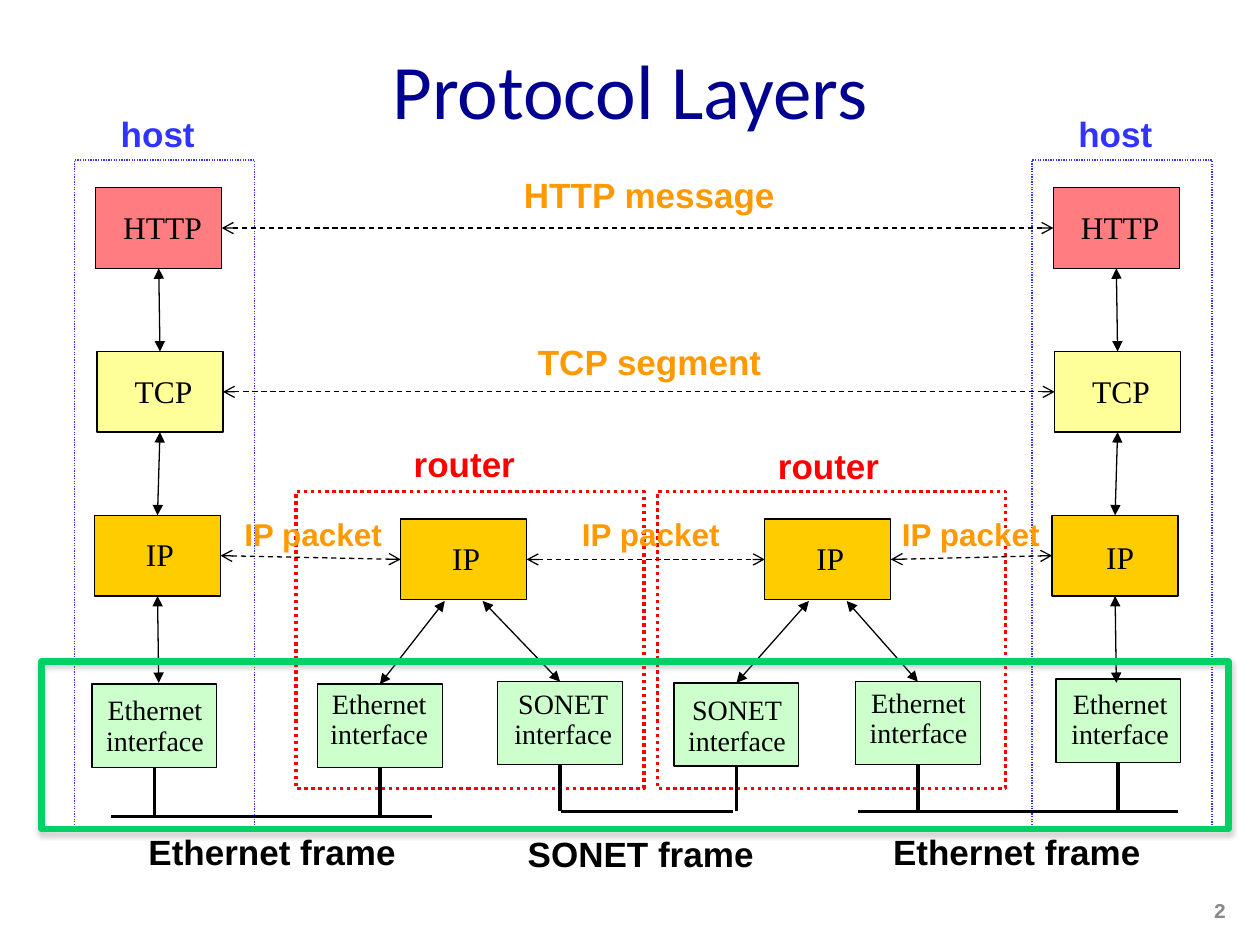
from lxml.etree import SubElement
from pptx import Presentation
from pptx.dml.color import RGBColor
from pptx.enum.dml import MSO_LINE
from pptx.enum.shapes import MSO_CONNECTOR, MSO_SHAPE
from pptx.enum.text import MSO_ANCHOR, PP_ALIGN
from pptx.oxml.ns import qn
from pptx.util import Inches, Pt

# The slide is a grid of 100 columns and 75 rows of square cells
COLUMNS, ROWS = 100, 75
CELL = Inches(10) // COLUMNS
COLORS = {
    "title": "000090", "black": "000000", "number": "898989",
    "HTTP": "FF7C80", "TCP": "FFFF99", "IP": "FFCC00", "interface": "CCFFCC",
    "host": "3333FF", "router": "FF0000", "message": "FF9900",
    "highlight": "00D164", "shadow": "808080",
}
TOP, LEFT, BOTTOM, RIGHT = range(4)
LABEL_ROWS = {16: 5.8, 18: 4, 20: 4.4}  # label height for each text size
HOST_STEP = 76  # columns between the two hosts


def cells(*counts):
    return [int(count * CELL) for count in counts]


def color(name):
    return RGBColor.from_string(COLORS[name])


def add_label(slide, text, column, row, width, size=20, font="Arial",
              ink="black", bold=True, align=PP_ALIGN.LEFT, height=None,
              wrap=False, anchor=MSO_ANCHOR.TOP, spacing=None):
    box = slide.shapes.add_textbox(
        *cells(column, row, width, height or LABEL_ROWS[size]))
    frame = box.text_frame
    frame.text = text
    frame.word_wrap = wrap
    frame.vertical_anchor = anchor
    for paragraph in frame.paragraphs:
        paragraph.alignment = align
        paragraph.line_spacing = spacing
        for run in paragraph.runs:
            run.font.name, run.font.size, run.font.bold = font, Pt(size), bold
            run.font.color.rgb = color(ink)
    return box


def add_rectangle(slide, column, row, width, height, line, weight=0.75,
                  fill=None, dash=None):
    shape = slide.shapes.add_shape(
        MSO_SHAPE.RECTANGLE, *cells(column, row, width, height))
    shape.shadow.inherit = False
    if fill:
        shape.fill.solid()
        shape.fill.fore_color.rgb = color(fill)
    else:
        shape.fill.background()
    shape.line.color.rgb = color(line)
    shape.line.width = Pt(weight)
    if dash:
        shape.line.dash_style = dash
    return shape


def add_layer(slide, protocol, column, row, label_column, label_row, width):
    box = add_rectangle(slide, column, row, 10, 6.4, "black", fill=protocol)
    add_label(slide, protocol, label_column, label_row, width, 18,
              "Times New Roman", bold=False)
    return box


def add_interface(slide, network, column, row, label_column, label_row,
                  filled=False):
    box = add_rectangle(slide, column, row, 9.9, 6.6, "black", fill="interface")
    label = add_label(slide, f"{network}\ninterface", label_column, label_row,
                      9.8, 16, "Times New Roman", bold=False,
                      align=PP_ALIGN.CENTER, spacing=0.9)
    if filled:
        label.fill.solid()
        label.fill.fore_color.rgb = color("interface")
    return box


def add_line(slide, start, end, weight=0.75, head=None, dash=None):
    """Each end is a (column, row) point or a (shape, side) joint."""
    points = [(0, 0) if hasattr(place[0], "shape_id") else place
              for place in (start, end)]
    line = slide.shapes.add_connector(
        MSO_CONNECTOR.STRAIGHT, *cells(*points[0], *points[1]))
    if hasattr(start[0], "shape_id"):
        line.begin_connect(*start)
    if hasattr(end[0], "shape_id"):
        line.end_connect(*end)
    line.line.color.rgb = color("black")
    line.line.width = Pt(weight)
    if dash:
        line.line.dash_style = dash
    if head:
        outline = line.line._get_or_add_ln()
        for tag in ("a:headEnd", "a:tailEnd"):
            SubElement(outline, qn(tag), type=head)
    SubElement(line._element.spPr, qn("a:effectLst"))


def add_host(slide, offset, ip_label, interface):
    http = add_layer(slide, "HTTP", 7.6 + offset, 14.9, 8.8 + offset, 16, 8.3)
    tcp = add_layer(slide, "TCP", 7.7 + offset, 27.9, 9.7 + offset, 29, 6.6)
    ip = add_layer(slide, "IP", 7.5 + offset, 40.9, *ip_label, 4.2)
    port = add_interface(slide, "Ethernet", *interface)
    for start, end in (((http, BOTTOM), (tcp, TOP)),
                       ((tcp, BOTTOM), (ip, TOP)),
                       ((ip, BOTTOM), (12.6 + offset, 54.2))):
        add_line(slide, start, end, head="triangle")
    add_rectangle(slide, 5.9 + offset, 12.7, 14.3, 53, "host",
                  dash=MSO_LINE.ROUND_DOT)
    add_label(slide, "host", 8.6 + offset, 8.45, 7.9, ink="host")
    return http, tcp, ip, port


def add_router(slide, column, ip_column, label_row, ports):
    ip = add_layer(slide, "IP", ip_column, 41.2, ip_column + 3.1, 42.3, 4.2)
    interfaces = [add_interface(slide, *port) for port in ports]
    for shift, port in zip((3.5, 6.5), interfaces):
        add_line(slide, (ip_column + shift, 47.7), (port, TOP), head="triangle")
    add_rectangle(slide, column, 39, 27.6, 23.6, "router", 2,
                  dash=MSO_LINE.ROUND_DOT)
    add_label(slide, "router", ip_column + 0.05, label_row, 10.2, ink="router")
    return ip, *interfaces


def add_network(slide, ports, left, right, row):
    for port in ports:
        middle = (port.left + port.width / 2) / CELL
        add_line(slide, (port, BOTTOM), (middle, row), 2)
    add_line(slide, (left, row), (right, row), 2)


def add_highlight(slide):
    frame = add_rectangle(slide, 3.3, 52.5, 94.2, 13.3, "highlight", 3.75)
    effects = frame._element.spPr.find(qn("a:effectLst"))
    shadow = SubElement(effects, qn("a:outerShdw"), blurRad=str(Pt(3.1)),
                        dist=str(Pt(1.8)), dir="5400000", rotWithShape="0")
    tint = SubElement(shadow, qn("a:srgbClr"), val=COLORS["shadow"])
    SubElement(tint, qn("a:alpha"), val="35000")


def main():
    presentation = Presentation()
    presentation.slide_width, presentation.slide_height = cells(COLUMNS, ROWS)
    slide = presentation.slides.add_slide(presentation.slide_layouts[6])

    # Title and slide number
    add_label(slide, "Protocol Layers", 5, 0.8, 90, 44, "Calibri", "title",
              False, PP_ALIGN.CENTER, 12.5, True, MSO_ANCHOR.MIDDLE)
    add_label(slide, "2", 75, 70.2, 23.3, 12, "Courier New", "number",
              True, PP_ALIGN.RIGHT, 4, True, MSO_ANCHOR.MIDDLE)

    # Hosts and routers
    http1, tcp1, ip1, port1 = add_host(
        slide, 0, (10.6, 42), (7.3, 54.3, 7.4, 54.8))
    http2, tcp2, ip4, port6 = add_host(
        slide, HOST_STEP, (86.8, 42.2), (83.8, 53.9, 84, 54.3))
    ip2, port2, port3 = add_router(slide, 23.5, 31.8, 34.6, (
        ("Ethernet", 25.2, 54.3, 25.2, 54.3),
        ("SONET", 39.5, 54.1, 39.8, 54.3)))
    ip3, port4, port5 = add_router(slide, 52.2, 60.7, 34.8, (
        ("SONET", 53.5, 54.2, 53.6, 54.8),
        ("Ethernet", 67.9, 54.1, 68, 54.2, True)))

    # Networks under the interfaces
    add_network(slide, (port1, port2), 8.8, 34.3, 64.8)
    add_network(slide, (port3, port4), 44.5, 58.2, 64.4)
    add_network(slide, (port5, port6), 68.1, 93.5, 64.4)

    # Exchanges between peers
    for sender, receiver in ((http1, http2), (tcp1, tcp2), (ip1, ip2),
                             (ip2, ip3), (ip3, ip4)):
        add_line(slide, (sender, RIGHT), (receiver, LEFT), head="arrow",
                 dash=MSO_LINE.DASH)
    add_label(slide, "HTTP message", 40.6, 13.3, 22.1, ink="message")
    add_label(slide, "TCP segment", 41.7, 26.5, 19.9, ink="message")
    for column in (18.4, 45.2, 70.6):
        add_label(slide, "IP packet", column, 40.4, 13.1, 18, ink="message")

    # Frame names and the highlighted link layer
    for network, column, row, width in (("Ethernet", 10.7, 65.4, 21.8),
                                        ("SONET", 40.8, 65.6, 20.1),
                                        ("Ethernet", 69.8, 65.4, 21.8)):
        add_label(slide, f"{network} frame", column, row, width,
                  align=PP_ALIGN.CENTER)
    add_highlight(slide)

    presentation.save("out.pptx")


if __name__ == "__main__":
    main()
